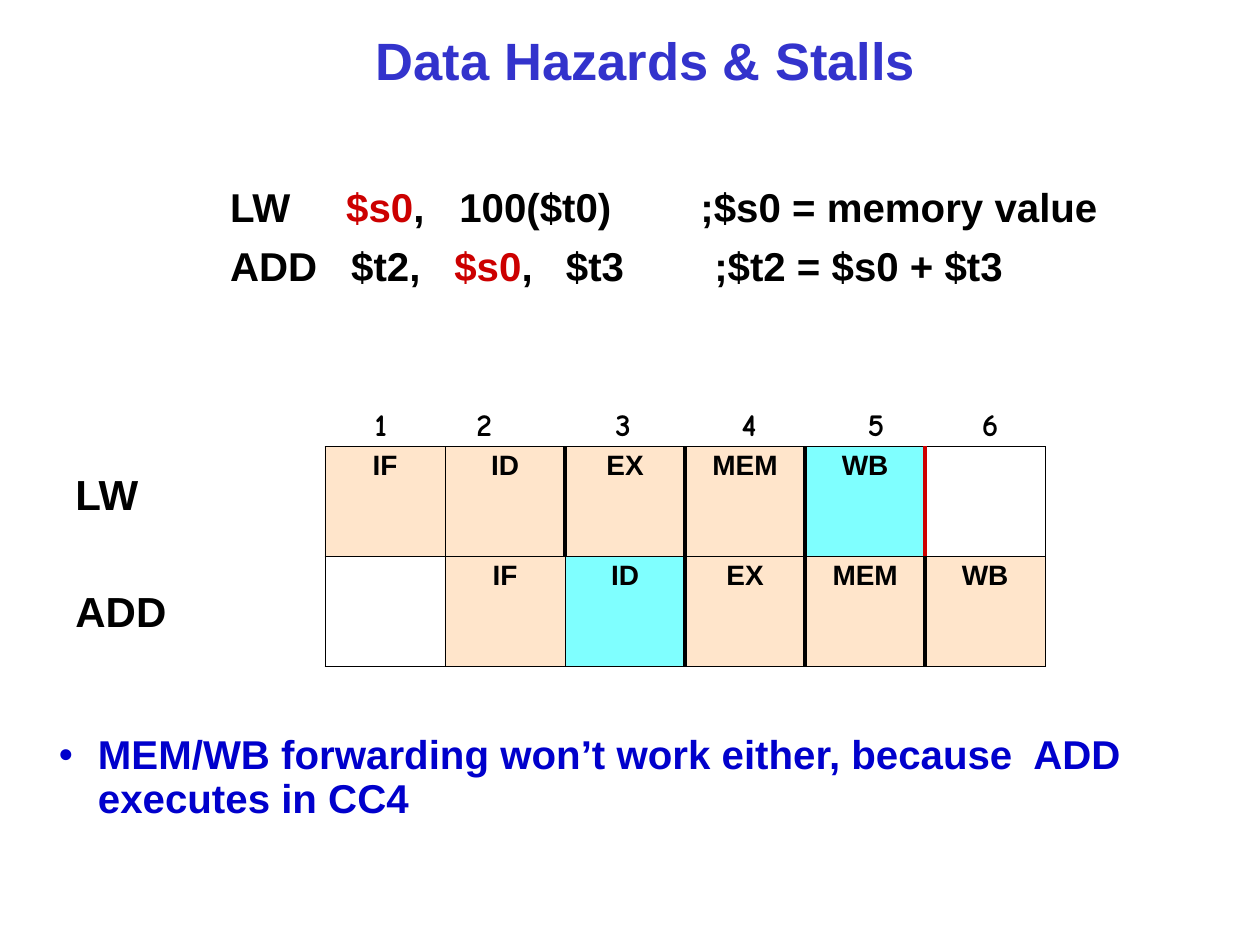
from dataclasses import dataclass

from lxml.etree import SubElement
from pptx import Presentation
from pptx.dml.color import RGBColor
from pptx.enum.shapes import MSO_SHAPE as Preset
from pptx.enum.text import MSO_ANCHOR as Anchor, PP_ALIGN as Align
from pptx.oxml import parse_xml
from pptx.oxml.ns import nsdecls, qn
from pptx.util import Cm, Pt


@dataclass(frozen=True)
class Theme:
    font: str = "Arial"
    number_font: str = "Comic Neue"
    title: str = "3333CC"
    ink: str = "000000"
    register: str = "CC0000"
    remark: str = "0000CC"
    stage: str = "FFCC99"
    conflict: str = "00FFFF"
    title_size: float = 30
    label_size: float = 24
    body_size: float = 23
    number_size: float = 18
    stage_size: float = 16
    thin: float = 0.45
    heavy: float = 3


theme = Theme()


def write(paragraph, size, runs, font=theme.font, spacing=None, tabs=(), tab_align="l"):
    """Add (text, colour) runs in bold, with tab stops in centimetres."""
    if spacing:
        paragraph.line_spacing = spacing
    for text, colour in runs:
        run = paragraph.add_run()
        run.text = text
        run.font.name, run.font.size, run.font.bold = font, Pt(size), True
        run.font.color.rgb = RGBColor.from_string(colour)
    if tabs:
        tab_list = SubElement(paragraph._p.get_or_add_pPr(), qn("a:tabLst"))
        for stop in tabs:
            SubElement(tab_list, qn("a:tab"), pos=str(Cm(stop)), algn=tab_align)


def add_frame(left, top, width, height):
    frame = slide.shapes.add_textbox(Cm(left), Cm(top), Cm(width), Cm(height)).text_frame
    frame.word_wrap = True
    return frame


deck = Presentation()
deck.slide_width, deck.slide_height = Cm(25.4), Cm(19.05)
slide = deck.slides.add_slide(deck.slide_layouts[6])

# Title
title = add_frame(0.64, 0.43, 24.76, 1.7)
title.vertical_anchor = Anchor.MIDDLE
title.paragraphs[0].alignment = Align.CENTER
write(title.paragraphs[0], theme.title_size, [("Data Hazards & Stalls", theme.title)], spacing=0.9)

# Instructions
code = add_frame(1.07, 2.54, 24.33, 5.92)
code.margin_left, code.margin_top = Cm(3.57), Cm(1.25)
instructions = [
    ([("LW\t", theme.ink), ("$s0", theme.register),
      (",\t100($t0)\t;$s0 = memory value", theme.ink)], (2.34, 4.62, 9.48)),
    ([("ADD\t$t2,\t", theme.ink), ("$s0", theme.register),
      (",\t$t3\t;$t2 = $s0 + $t3", theme.ink)], (2.44, 4.52, 6.77, 9.76)),
]
for index, (runs, tabs) in enumerate(instructions):
    line = code.paragraphs[0] if index == 0 else code.add_paragraph()
    line.space_before = Pt(9 * index)
    write(line, theme.body_size, runs, spacing=0.9, tabs=tabs)

# Row labels
labels = add_frame(1.27, 9.32, 2.54, 3.61)
for index, name in enumerate(("LW", "ADD")):
    label = labels.paragraphs[0] if index == 0 else labels.add_paragraph()
    label.space_before = Pt(38 * index)
    write(label, theme.label_size, [(name, theme.ink)])

# Pipeline: stages by clock cycle, the highlighted cycle and the cycle borders
pipeline_rows = [
    (["IF", "ID", "EX", "MEM", "WB", ""], 4),
    (["", "IF", "ID", "EX", "MEM", "WB"], 2),
]
thin, heavy = (theme.ink, theme.thin), (theme.ink, theme.heavy)
late = (theme.register, theme.heavy)
cycle_borders = [
    [thin, thin, heavy, heavy, heavy, late, thin],
    [thin, thin, thin, heavy, heavy, heavy, thin],
]
pipeline = slide.shapes.add_table(2, 6, Cm(6.55), Cm(9), Cm(14.52), Cm(4.44)).table
pipeline.first_row = pipeline.horz_banding = False
for column in pipeline.columns:
    column.width = Cm(2.42)
for row, (stages, highlighted) in enumerate(pipeline_rows):
    pipeline.rows[row].height = Cm(2.22)
    for cycle, stage in enumerate(stages):
        cell = pipeline.cell(row, cycle)
        cell.margin_left = cell.margin_right = cell.margin_top = cell.margin_bottom = Cm(0.13)
        if stage:
            cell.fill.solid()
            cell.fill.fore_color.rgb = RGBColor.from_string(
                theme.conflict if cycle == highlighted else theme.stage)
            tint = cell._tc.tcPr.find(".//" + qn("a:srgbClr"))
            SubElement(tint, qn("a:alpha"), val="50000")
            heading = cell.text_frame.paragraphs[0]
            heading.alignment = Align.CENTER
            heading.space_before = Pt(6)
            write(heading, theme.stage_size, [(stage, theme.ink)], spacing=0.9)
        else:
            cell.fill.background()
        left, right = cycle_borders[row][cycle:cycle + 2]
        sides = [("lnL", left), ("lnR", right), ("lnT", thin), ("lnB", thin)]
        for position, (side, (colour, width)) in enumerate(sides):
            cell._tc.tcPr.insert(position, parse_xml(
                f'<a:{side} {nsdecls("a")} w="{Pt(width)}"><a:solidFill>'
                f'<a:srgbClr val="{colour}"/></a:solidFill></a:{side}>'))

# Remark
remark = slide.shapes.add_shape(
    Preset.ROUNDED_RECTANGLE, Cm(0.84), Cm(14.6), Cm(23.93), Cm(2.74))
remark.adjustments[0] = 0.12
remark.shadow.inherit = False
remark.fill.background()
remark.line.fill.background()
remark.text_frame.word_wrap = True
remark.text_frame.vertical_anchor = Anchor.TOP
point = remark.text_frame.paragraphs[0]
point.alignment = Align.LEFT
point.space_before = Pt(8.6)
write(point, theme.body_size, [
    ("MEM/WB forwarding won’t work either, because  ADD executes in CC4", theme.remark),
], spacing=0.9)
bullet = point._p.get_or_add_pPr()
bullet.set("marL", str(Cm(0.79)))
bullet.set("indent", str(-Cm(0.79)))
SubElement(SubElement(bullet, qn("a:buClr")), qn("a:srgbClr"), val=theme.remark)
SubElement(bullet, qn("a:buFont"), typeface=theme.font)
SubElement(bullet, qn("a:buChar"), char="•")

# Clock cycle numbers
cycles = add_frame(6.15, 8.05, 14.73, 1.02)
write(cycles.paragraphs[0], theme.number_size, [("\t1\t2\t3\t4\t5\t6", theme.ink)],
      font=theme.number_font, tabs=(1.28, 3.36, 6.16, 8.7, 11.26, 13.56), tab_align="ctr")

deck.save("out.pptx")
